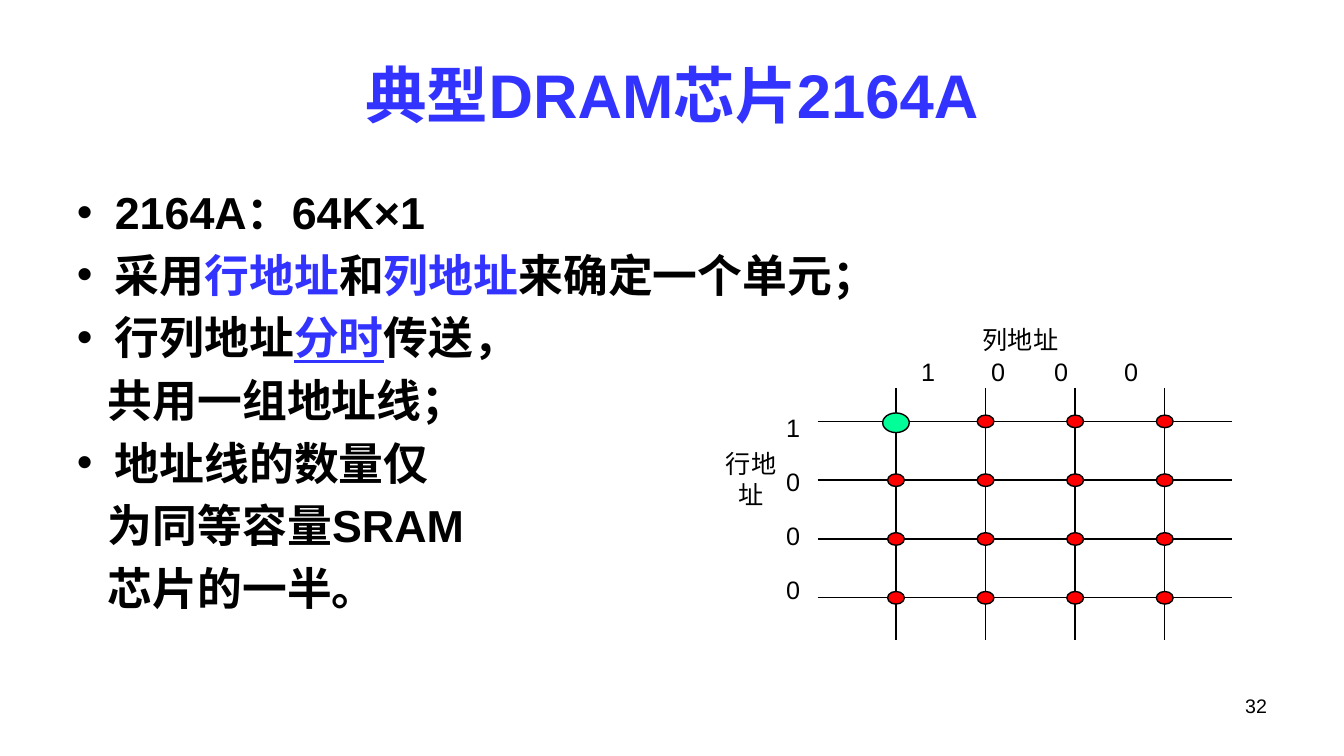
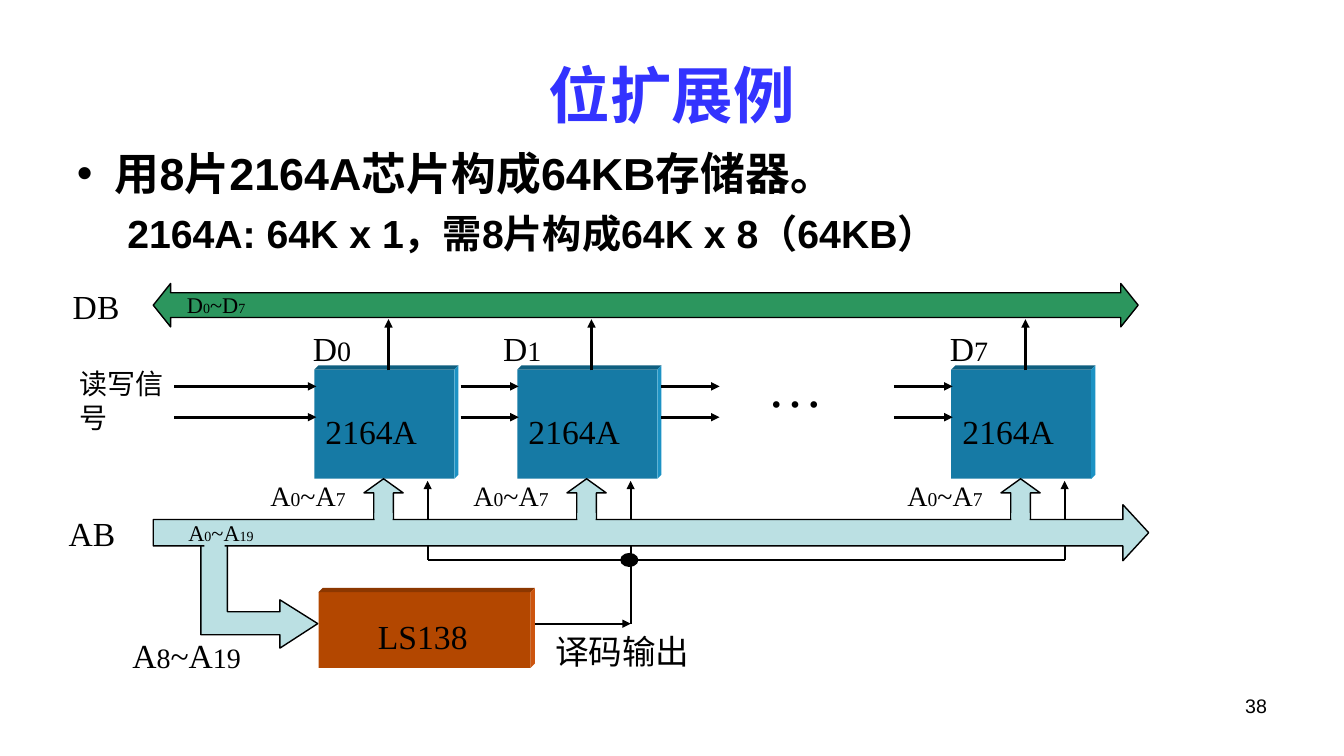
from dataclasses import dataclass
from itertools import cycle, product

from lxml.etree import SubElement
from pptx import Presentation
from pptx.dml.color import RGBColor as Rgb
from pptx.enum.shapes import MSO_CONNECTOR as Link, MSO_SHAPE as Kind
from pptx.enum.text import MSO_ANCHOR as Anchor, PP_ALIGN as Align
from pptx.oxml.ns import qn
from pptx.util import Pt


@dataclass(frozen=True)
class Theme:
    ink: str = "000000"
    blue: str = "3333FF"
    red: str = "FF0000"
    mint: str = "00FF99"
    green: str = "2C965E"
    pale: str = "BBE0E3"
    chip: tuple = ("167AA5", "0F5F80", "1C92C4")
    coder: tuple = ("B34700", "8C3700", "CC550F")
    sans: str = "Arial"
    serif: str = "Times New Roman"
    title: int = 44
    body: int = 32
    sub: int = 28
    large: int = 24
    mid: int = 20
    note: int = 18
    small: int = 16
    foot: int = 14
    tiny: int = 10
    dots: int = 40


T = Theme()
SIGNALS = (276, 298)


def style(font, form):
    for key, val in form.items():
        if key == "color":
            font.color.rgb = Rgb.from_string(val)
        elif key == "size":
            font.size = Pt(val)
        else:
            setattr(font, key, val)


def label(slide, x, y, w, h, paras, align=Align.LEFT, gap=0, **form):
    base = {"name": T.sans, "size": T.note, "color": T.ink, **form}
    box = slide.shapes.add_textbox(Pt(x), Pt(y), Pt(w), Pt(h))
    frame = box.text_frame
    frame.word_wrap = True
    for side in ("left", "top", "right", "bottom"):
        setattr(frame, f"margin_{side}", 0)
    for num, runs in enumerate(paras):
        para = frame.add_paragraph() if num else frame.paragraphs[0]
        para.alignment = align
        if num and gap:
            para.space_before = Pt(gap)
        for words, extra in runs:
            run = para.add_run()
            run.text = words
            style(run.font, {**base, **extra})
    return frame


def plain(words, **form):
    return [(words, form)]


def mixed(words, big, small):
    return [(word, {"size": size}) for word, size in zip(words, cycle((big, small)))]


def serif(slide, x, y, w, runs, **form):
    label(slide, x, y, w, 30, [runs], **{"name": T.serif, "size": T.large, **form})


def indent(para, left, mark):
    props = para._p.get_or_add_pPr()
    props.set("marL", str(Pt(left)))
    props.set("indent", str(-Pt(left) if mark else 0))
    if mark:
        SubElement(props, qn("a:buFont"), typeface=T.sans)
        SubElement(props, qn("a:buChar"), char="•")
    else:
        SubElement(props, qn("a:buNone"))


def body(slide, y, pitch, items):
    frame = label(slide, 55, y, 850, 320, [runs for _, _, runs in items],
                  size=T.body, bold=True)
    for para, (left, mark, _) in zip(frame.paragraphs, items):
        indent(para, left, mark)
        para.line_spacing = Pt(pitch)
        style(para.font, {"size": T.body})


def paint(shape, fill, line=None):
    shape.shadow.inherit = False
    shape.fill.solid()
    shape.fill.fore_color.rgb = Rgb.from_string(fill)
    if line:
        shape.line.color.rgb = Rgb.from_string(line)
        shape.line.width = Pt(1)
    else:
        shape.line.fill.background()


def block(slide, kind, x, y, w, h, fill, line=None, adjs=()):
    shape = slide.shapes.add_shape(kind, Pt(x), Pt(y), Pt(w), Pt(h))
    for num, val in enumerate(adjs):
        shape.adjustments[num] = val
    paint(shape, fill, line)


def dot(slide, x, y, w, h, fill):
    block(slide, Kind.OVAL, x - w / 2, y - h / 2, w, h, fill, T.ink)


def poly(slide, dots, fill, line=None):
    first, *rest = [(Pt(x), Pt(y)) for x, y in dots]
    pen = slide.shapes.build_freeform(*first, scale=1)
    pen.add_line_segments(rest, close=True)
    paint(pen.convert_to_shape(), fill, line)


def wire(slide, x1, y1, x2, y2, width=1, arrow=False):
    link = slide.shapes.add_connector(Link.STRAIGHT, Pt(x1), Pt(y1), Pt(x2), Pt(y2))
    link.line.color.rgb = Rgb.from_string(T.ink)
    link.line.width = Pt(width)
    if arrow:
        SubElement(link.line._get_or_add_ln(), qn("a:tailEnd"), type="triangle")
    SubElement(link._element.spPr, qn("a:effectLst"))


def solid(slide, x, y, w, h, tones, deep=3):
    face, top, side = tones
    block(slide, Kind.RECTANGLE, x, y, w, h, face)
    far, low = x + w, y + h
    poly(slide, [(x, y), (x + deep, y - deep), (far + deep, y - deep), (far, y)], top)
    poly(slide, [(far, y), (far + deep, y - deep), (far + deep, low - deep),
                 (far, low)], side)


def start(deck, title, page):
    slide = deck.slides.add_slide(deck.slide_layouts[6])
    frame = label(slide, 48, 22, 864, 90, [plain(title)], Align.CENTER,
                  size=T.title, color=T.blue, bold=True)
    frame.vertical_anchor = Anchor.MIDDLE
    label(slide, 680, 495.5, 225, 30, [plain(page)], Align.RIGHT, size=T.foot)
    return slide


def grid(slide):
    cols = [640 + 64 * num for num in range(4)]
    rows = [301 + 42 * num for num in range(4)]
    for y in rows:
        wire(slide, 584, y, 880, y)
    for x in cols:
        wire(slide, x, 277, x, 457)
    for x, y in product(cols, rows):
        if (x, y) == (cols[0], rows[0]):
            dot(slide, x, y + 1, 19, 14, T.mint)
        else:
            dot(slide, x, y, 12, 9, T.red)
    mid = Align.CENTER
    label(slide, 676, 231.5, 106, 22, [plain("列地址")], mid)
    label(slide, 517.5, 320.5, 38, 44, [plain("行地址")], mid)
    label(slide, 551.5, 294.5, 30, 140, [plain(bit) for bit in "1000"], mid, 16.9)
    for x, bit in zip((663, 713, 758, 808), "1000"):
        label(slide, x - 10, 254.5, 20, 22, [plain(bit)], mid)


def dram(deck):
    slide = start(deck, "典型DRAM芯片2164A", "32")
    blue = {"color": T.blue}
    body(slide, 125.5, 44.8, [
        (27, True, plain("2164A：64K×1")),
        (27, True, [("采用", {}), ("行地址", blue), ("和", {}), ("列地址", blue),
                    ("来确定一个单元；", {})]),
        (27, True, [("行列地址", {}), ("分时", {**blue, "underline": True}),
                    ("传送，", {})]),
        (22, False, plain("共用一组地址线；")),
        (27, True, plain("地址线的数量仅")),
        (22, False, plain("为同等容量SRAM")),
        (22, False, plain("芯片的一半。")),
    ])
    grid(slide)


def chip(slide, x, digit, shift, foot):
    solid(slide, x, 264, 100, 78, T.chip)
    wire(slide, x + 53, 264.5, x + 53, 228, 2, True)
    block(slide, Kind.UP_ARROW, x + 35.5, 342, 28, 30, T.pale, T.ink, (0.5, 0.36))
    wire(slide, x + 81, foot, x + 81, 343.5, 1.5, True)
    serif(slide, x + 8, 293.5, 90, plain("2164A"))
    serif(slide, x + shift, 234, 45, mixed(("D", digit), T.large, T.mid))
    serif(slide, x - 42.5, 341.5, 76, mixed(("A", "0", "~A", "7"), T.mid, T.foot),
          align=Align.CENTER)


def buses(slide, chips):
    block(slide, Kind.LEFT_RIGHT_ARROW, 109.5, 202.5, 703.5, 31, T.green, T.ink,
          (0.57, 0.4))
    block(slide, Kind.RIGHT_ARROW, 109.5, 360.5, 711, 40, T.pale, T.ink, (0.47, 0.46))
    for x in chips:
        block(slide, Kind.RECTANGLE, x + 43, 366.5, 13, 11.5, T.pale)
    block(slide, Kind.RECTANGLE, 146, 378, 14.5, 21.5, T.pale)
    serif(slide, 52, 204.5, 45, plain("DB"))
    serif(slide, 49, 366.5, 45, plain("AB"))
    serif(slide, 133.5, 208, 70, mixed(("D", "0", "~D", "7"), T.small, T.tiny))
    serif(slide, 134.5, 371, 70, mixed(("A", "0", "~A", "19"), T.small, T.tiny))


def decode(slide, first, mid, last):
    wire(slide, first, 400, last, 400, 1.5)
    dot(slide, mid - 1, 400, 12, 9, T.ink)
    solid(slide, 227.5, 423, 151.5, 54, T.coder)
    wire(slide, 382, 445.5, mid, 445.5, 1.5, True)
    serif(slide, 238, 440, 128, plain("LS138"), align=Align.CENTER)
    serif(slide, 94.5, 453.5, 113, mixed(("A", "8", "~A", "19"), T.large, T.mid))
    serif(slide, 396.5, 450.5, 150, plain("译码输出"))


def expand(deck):
    slide = start(deck, "位扩展例", "38")
    body(slide, 102, 40.7, [
        (27, True, plain("用8片2164A芯片构成64KB存储器。")),
        (36, False, plain("2164A: 64K x 1，需8片构成64K x 8（64KB）", size=T.sub)),
    ])
    poly(slide, [(227, 445.5), (200, 428.5), (200, 437), (162.5, 437), (162.5, 383),
                 (143.5, 383), (143.5, 453.5), (200, 453.5), (200, 463)],
         T.pale, T.ink)
    chips = (224.5, 369.5, 679.5)
    for spot in zip(chips, "017", (-1, -10, -1), (400, 445.5, 400)):
        chip(slide, *spot)
    spans = ((124.5, 226), (329, 370.5), (472.5, 514), (638.5, 680.5))
    for (left, right), y in product(spans, SIGNALS):
        wire(slide, left, y, right, y, 2, True)
    serif(slide, 57, 262, 67.5, plain("读写信号"), size=T.mid)
    serif(slide, 548, 251, 60, plain("…"), size=T.dots)
    buses(slide, chips)
    decode(slide, *(x + 81 for x in chips))


def main():
    deck = Presentation()
    deck.slide_width, deck.slide_height = Pt(960), Pt(540)
    dram(deck)
    expand(deck)
    deck.save("out.pptx")


if __name__ == "__main__":
    main()
